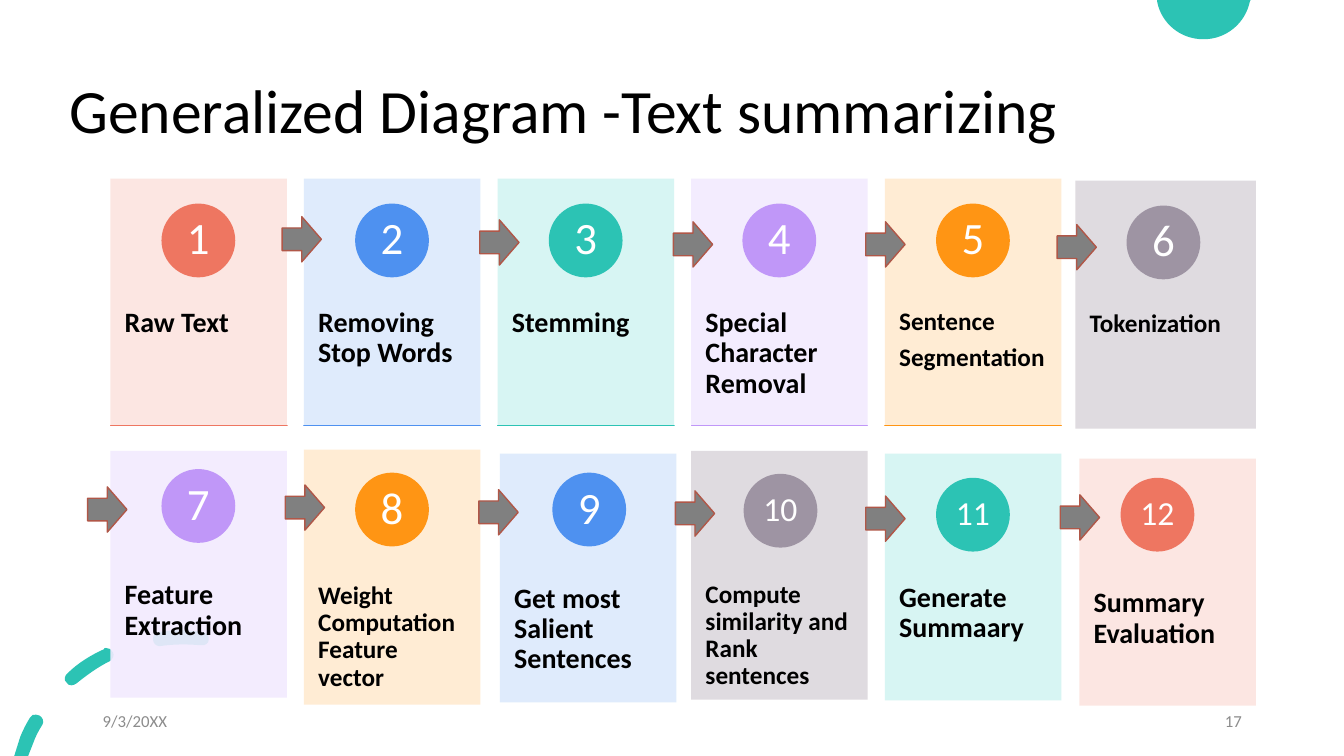
"""Build the slide with the twelve steps of text summarizing."""
from dataclasses import dataclass
from typing import Optional

from lxml.etree import SubElement
from pptx import Presentation
from pptx.dml.color import RGBColor
from pptx.enum.shapes import MSO_SHAPE
from pptx.enum.text import MSO_ANCHOR, MSO_AUTO_SIZE, PP_ALIGN
from pptx.oxml.ns import qn
from pptx.util import Cm, Pt

FONT = "Calibri"
TEAL_COLOUR = "2CC3B4"
CARD_WIDTH = 4.45
CARD_PITCH = 4.88
FIRST_LEFT = 2.78
BADGE_SIZE = 1.86


@dataclass(frozen=True)
class Theme:
    strong: str
    pale: str
    opacity: Optional[int] = 90


@dataclass(frozen=True)
class Step:
    number: int
    label: str
    theme: Theme
    top: float = 4.5
    height: float = 6.22
    label_size: int = 20
    shift: float = 0
    width: float = CARD_WIDTH
    badge_left: float = 1.29
    badge_top: float = 0.63

    @property
    def left(self) -> float:
        return FIRST_LEFT + (self.number - 1) % 6 * CARD_PITCH + self.shift


CORAL = Theme("EE7661", "FCE4DF")
BLUE = Theme("4E91F0", "DCE9FC")
TEAL = Theme(TEAL_COLOUR, "D3F5F2")
PURPLE = Theme("C097F8", "F2EAFE")
ORANGE = Theme("FF9514", "FFEAD0")
GREY = Theme("9E94A3", "DFDBE0", None)

STEPS = [
    Step(1, "Raw Text", CORAL),
    Step(2, "Removing Stop Words", BLUE),
    Step(3, "Stemming", TEAL),
    Step(4, "Special Character Removal", PURPLE),
    Step(5, "Sentence\nSegmentation", ORANGE, label_size=18),
    Step(6, "Tokenization", GREY, 4.55, 6.25, 18, -0.08, 4.55),
    Step(7, "Feature Extraction", PURPLE, 11.36, badge_top=0.46),
    Step(8, "Weight Computation Feature vector", ORANGE, 11.33, 6.43, 18, badge_top=0.58),
    Step(9, "Get most Salient Sentences", BLUE, 11.43, 6.27, shift=0.06,
         badge_left=1.32, badge_top=0.48),
    Step(10, "Compute similarity and Rank sentences", GREY, 11.36, 6.27, 18,
         badge_left=1.32, badge_top=0.58),
    Step(11, "Generate Summaary", TEAL, 11.43, badge_top=0.61),
    Step(12, "Summary Evaluation", CORAL, 11.56, shift=0.02,
         badge_left=1.04, badge_top=0.48),
]
ARROWS = [
    (7.11, 5.46), (12.09, 5.54), (16.97, 5.59), (21.82, 5.59), (26.64, 5.66),
    (2.21, 12.27), (7.19, 12.22), (12.07, 12.34), (17.02, 12.37), (21.82, 12.5),
    (26.72, 12.47),
]
SEMICIRCLE = [
    [(29.16, 0), (31.52, 0), (31.5, 0.03), (31.39, 0.58, 30.91, 0.99, 30.33, 0.99),
     (29.74, 0.99, 29.26, 0.58, 29.16, 0.03)],
]
DASHED_ARC = [
    [(0.91, 18.01), (0.86, 17.98, 0.79, 18.03, 0.76, 18.08),
     (0.66, 18.24, 0.58, 18.4, 0.51, 18.57), (0.36, 19.05), (0.71, 19.05),
     (0.84, 18.72), (0.89, 18.57, 0.97, 18.42, 1.07, 18.26),
     (1.12, 18.19, 1.07, 18.06, 0.99, 18.03), (0.97, 18.01, 0.94, 18.01, 0.91, 18.01)],
    [(2.67, 16.33), (2.64, 16.33, 2.62, 16.33, 2.62, 16.36),
     (2.29, 16.51, 1.96, 16.71, 1.7, 16.97), (1.63, 17.02, 1.6, 17.15, 1.68, 17.2),
     (1.7, 17.25, 1.75, 17.27, 1.8, 17.27), (1.85, 17.27, 1.88, 17.25, 1.93, 17.22),
     (2.18, 17.02, 2.46, 16.81, 2.77, 16.66), (2.84, 16.61, 2.9, 16.51, 2.84, 16.43),
     (2.82, 16.36, 2.74, 16.33, 2.67, 16.33)],
    [(4.55, 15.88), (4.37, 15.88, 4.19, 15.9, 4.01, 15.93),
     (3.91, 15.93, 3.84, 16.03, 3.86, 16.13), (3.86, 16.21, 3.94, 16.28, 4.01, 16.28),
     (4.04, 16.28), (4.39, 16.23, 4.72, 16.23, 5.05, 16.26),
     (5.16, 16.28, 5.26, 16.21, 5.26, 16.13), (5.28, 16.03, 5.21, 15.93, 5.11, 15.93),
     (4.93, 15.9, 4.72, 15.88, 4.55, 15.88)],
]


def colour(value: str) -> RGBColor:
    return RGBColor.from_string(value)


def paint(shape, fill: str, line: Optional[str] = None, opacity: Optional[int] = None) -> None:
    shape.shadow.inherit = False
    shape.fill.solid()
    shape.fill.fore_color.rgb = colour(fill)
    if opacity is not None:
        solid = shape.fill._xPr.find(qn("a:solidFill"))
        SubElement(solid[0], qn("a:alpha"), val=str(opacity * 1000))
    if line is None:
        shape.line.fill.background()
    else:
        shape.line.color.rgb = colour(line)
        shape.line.width = Pt(1)


def write(shape, text: str, size: int, text_colour: str, bold: bool = False,
          align=PP_ALIGN.LEFT, anchor=MSO_ANCHOR.MIDDLE, spacing: float = 0.9,
          margins: tuple = (0.25, 0.13)) -> None:
    frame = shape.text_frame
    frame.auto_size = MSO_AUTO_SIZE.NONE
    frame.word_wrap = True
    frame.vertical_anchor = anchor
    frame.margin_left = frame.margin_right = Cm(margins[0])
    frame.margin_top = frame.margin_bottom = Cm(margins[1])
    for index, content in enumerate(text.split("\n")):
        paragraph = frame.add_paragraph() if index else frame.paragraphs[0]
        paragraph.alignment = align
        paragraph.line_spacing = spacing
        paragraph.space_before = Pt(0)
        paragraph.space_after = Pt(round(size * 0.35, 1)) if bold else Pt(0)
        run = paragraph.add_run()
        run.text = content
        run.font.name = FONT
        run.font.size = Pt(size)
        run.font.bold = bold
        run.font.color.rgb = colour(text_colour)


def draw_decoration(slide, contours: list) -> None:
    builder = None
    for contour in contours:
        ends = [(Cm(segment[-2]), Cm(segment[-1])) for segment in contour]
        if builder is None:
            builder = slide.shapes.build_freeform(*ends[0])
        else:
            builder.move_to(*ends[0])
        builder.add_line_segments(ends[1:], close=True)
    shape = builder.convert_to_shape()
    paint(shape, TEAL_COLOUR)
    segments = [segment for contour in contours for segment in contour[1:]]
    lines = list(shape._element.iter(qn("a:lnTo")))
    for line, segment in zip(lines, segments):
        if len(segment) == 6:
            curve = line.getparent().makeelement(qn("a:cubicBezTo"))
            for x, y in zip(segment[::2], segment[1::2]):
                SubElement(curve, qn("a:pt"), x=str(Cm(x) - shape.left),
                           y=str(Cm(y) - shape.top))
            line.getparent().replace(line, curve)


def draw_step(slide, step: Step) -> None:
    shapes = slide.shapes
    left, width = Cm(step.left), Cm(step.width)
    card = shapes.add_shape(MSO_SHAPE.RECTANGLE, left, Cm(step.top), width, Cm(step.height))
    paint(card, step.theme.pale, opacity=step.theme.opacity)
    label = shapes.add_textbox(left, Cm(step.top + step.height * 0.38), width,
                               Cm(step.height * 0.6))
    write(label, step.label, step.label_size, "000000", bold=True,
          anchor=MSO_ANCHOR.TOP, margins=(0.36, 0.91))
    badge = shapes.add_shape(MSO_SHAPE.OVAL, Cm(step.left + step.badge_left),
                             Cm(step.top + step.badge_top), Cm(BADGE_SIZE), Cm(BADGE_SIZE))
    paint(badge, step.theme.strong)
    write(badge, str(step.number), 32 if step.number < 10 else 24, "FFFFFF",
          align=PP_ALIGN.CENTER, margins=(0, 0))
    if step.number < 6:
        rule = shapes.add_shape(MSO_SHAPE.RECTANGLE, left, Cm(step.top + step.height), width, 0)
        paint(rule, step.theme.strong, step.theme.strong)


presentation = Presentation()
presentation.slide_width, presentation.slide_height = Cm(33.87), Cm(19.05)
slide = presentation.slides.add_slide(presentation.slide_layouts[5])
for decoration in (SEMICIRCLE, DASHED_ARC):
    draw_decoration(slide, decoration)
title = slide.shapes.title
title.left, title.top, title.width, title.height = Cm(1.5), Cm(1.02), Cm(29.21), Cm(3.68)
write(title, "Generalized Diagram -Text summarizing", 44, "000000")
for footer_left, footer_text, footer_align in [(2.34, "9/3/20XX", PP_ALIGN.LEFT),
                                               (23.93, "17", PP_ALIGN.RIGHT)]:
    footer = slide.shapes.add_textbox(Cm(footer_left), Cm(17.65), Cm(7.62), Cm(1.02))
    write(footer, footer_text, 12, "8C8C8C", align=footer_align, spacing=1.0)
for summary_step in STEPS:
    draw_step(slide, summary_step)
for arrow_left, arrow_top in ARROWS:
    arrow = slide.shapes.add_shape(MSO_SHAPE.RIGHT_ARROW, Cm(arrow_left), Cm(arrow_top),
                                   Cm(0.99), Cm(1.14))
    paint(arrow, "808080", "B05748")
presentation.save("out.pptx")
